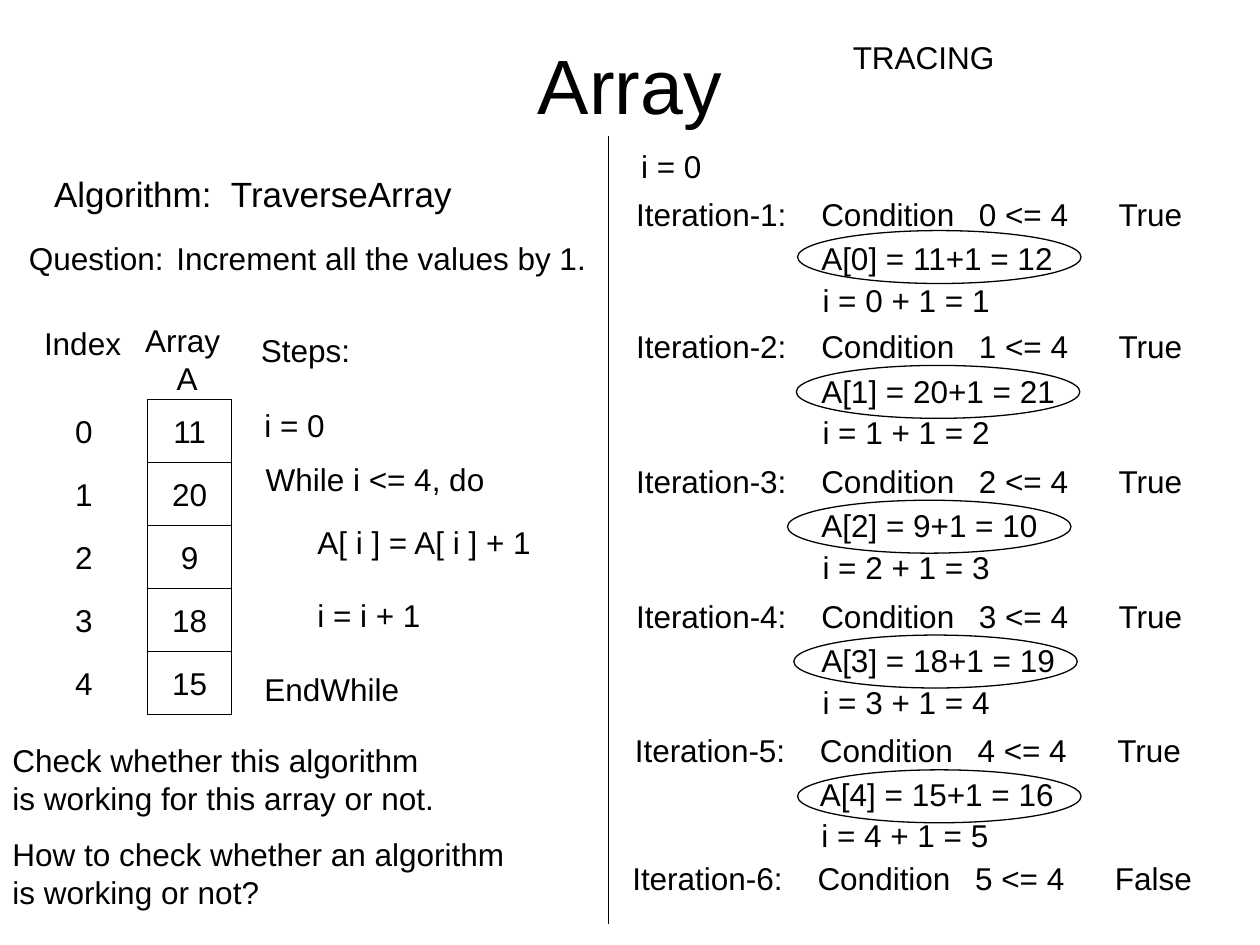
"""Builds the slide that traces the TraverseArray algorithm."""
from typing import NamedTuple

from lxml import etree
from pptx import Presentation
from pptx.dml.color import RGBColor
from pptx.enum.shapes import MSO_CONNECTOR, MSO_SHAPE
from pptx.enum.text import MSO_ANCHOR, MSO_AUTO_SIZE, PP_ALIGN
from pptx.oxml.ns import qn
from pptx.util import Emu, Pt

LEFT, CENTER = PP_ALIGN.LEFT, PP_ALIGN.CENTER
TOP, MIDDLE = MSO_ANCHOR.TOP, MSO_ANCHOR.MIDDLE
FIXED, GROW = MSO_AUTO_SIZE.NONE, MSO_AUTO_SIZE.SHAPE_TO_FIT_TEXT
RECTANGLE, ELLIPSE = MSO_SHAPE.RECTANGLE, MSO_SHAPE.OVAL
STRAIGHT = MSO_CONNECTOR.STRAIGHT

EMU_PER_PX = 9144
FONT = "Arial"
COLORS = {"ink": "000000", "paper": "FFFFFF"}
LINE_HEIGHT = 40
CELL_WIDTH, CELL_HEIGHT = 67, 50
INDEX_LEFT, ARRAY_LEFT, ARRAY_TOP = 33, 117, 317


class Label(NamedTuple):
    """A piece of text with its place in px."""
    text: str
    left: int
    top: int
    width: int
    height: int = LINE_HEIGHT
    align: PP_ALIGN = LEFT
    size: int = 18


class Iteration(NamedTuple):
    """One pass of the loop; without an old value the loop ends."""
    left: int
    top: int
    old_value: int | None = None
    ring_left: int = 0


LABELS = [
    Label("Algorithm:", 33, 132, 145, 43, CENTER, 20),
    Label("TraverseArray", 173, 132, 196, 43, CENTER, 20),
    Label("Question:", 13, 185, 127, align=CENTER),
    Label("Increment all the values by 1.", 130, 185, 345, align=CENTER),
    Label("Array \nA", 105, 250, 87, 70, CENTER),
    Label("Index", 25, 252, 81, align=CENTER),
    Label("Steps:", 197, 258, 91, align=CENTER),
    Label("i = 0", 200, 317, 68),
    Label("While i <= 4, do", 201, 360, 194),
    Label("A[ i ] = A[ i ] + 1", 242, 410, 191),
    Label("i = i + 1", 242, 468, 102),
    Label("EndWhile", 200, 527, 127),
    Label("Check whether this algorithm\nis working for this array or not.", 0, 583, 364, 70),
    Label("How to check whether an algorithm\nis working or not?", 0, 658, 414, 70),
    Label("TRACING", 667, 25, 133),
    Label("i = 0", 499, 112, 68),
]

ITERATIONS = [
    Iteration(495, 150, 11, 633),
    Iteration(495, 255, 20, 632),
    Iteration(495, 362, 9, 625),
    Iteration(495, 469, 18, 630),
    Iteration(494, 575, 15, 633),
    Iteration(492, 677),
]


def px(*lengths: int) -> list[Emu]:
    """Turn px into EMU."""
    return [Emu(length * EMU_PER_PX) for length in lengths]


def color(name: str) -> RGBColor:
    """Look up a colour by its role."""
    return RGBColor.from_string(COLORS[name])


def write(shape, text: str, size: int, align: PP_ALIGN, anchor: MSO_ANCHOR,
          fit: MSO_AUTO_SIZE, wrap: bool = False) -> None:
    """Fill a shape with formatted text."""
    frame = shape.text_frame
    frame.text = text
    frame.word_wrap, frame.auto_size, frame.vertical_anchor = wrap, fit, anchor
    for paragraph in frame.paragraphs:
        paragraph.alignment = align
        paragraph.font.name, paragraph.font.size = FONT, Pt(size)
        paragraph.font.color.rgb = color("ink")


def ink(line) -> None:
    """Draw a line thin and dark."""
    line.color.rgb = color("ink")
    line.width = Pt(0.75)


def draw_label(slide, label: Label, anchor: MSO_ANCHOR = TOP, fit: MSO_AUTO_SIZE = GROW) -> None:
    """Place a text box."""
    box = slide.shapes.add_textbox(*px(label.left, label.top, label.width, label.height))
    write(box, label.text, label.size, label.align, anchor, fit)


def draw_outline(slide, kind: MSO_SHAPE, left: int, top: int, width: int, height: int):
    """Place an unfilled shape."""
    outline = slide.shapes.add_shape(kind, *px(left, top, width, height))
    outline.shadow.inherit = False
    outline.fill.background()
    ink(outline.line)
    return outline


def draw_element(slide, index: int, value: int) -> None:
    """Place an array cell and its index."""
    top = ARRAY_TOP + index * CELL_HEIGHT
    cell = draw_outline(slide, RECTANGLE, ARRAY_LEFT, top, CELL_WIDTH, CELL_HEIGHT)
    write(cell, str(value), 18, CENTER, MIDDLE, FIXED)
    index_label = Label(str(index), INDEX_LEFT, top, CELL_WIDTH, CELL_HEIGHT, CENTER)
    draw_label(slide, index_label, MIDDLE, FIXED)


def draw_iteration(slide, index: int, step: Iteration) -> None:
    """Place the trace of one pass."""
    left, top, old = step.left, step.top, step.old_value
    ends = old is None
    trace = [
        Label(f"Iteration-{index + 1}:", left, top, 140),
        Label("Condition", left + 147, top, 126),
        Label(f"{index} <= 4", left + 272, top, 91),
        Label("False" if ends else "True", left + 383, top, 81 if ends else 72),
    ]
    if not ends:
        assignment = f"A[{index}] = {old}+1 = {old + 1}"
        trace += [
            Label(assignment, left + 147, top + 35, 206 if old > 9 else 192),
            Label(f"i = {index} + 1 = {index + 1}", left + 148, top + 68, 153),
        ]
        draw_outline(slide, ELLIPSE, step.ring_left, 183 + 107 * index, 225, 42)
    for label in trace:
        draw_label(slide, label)


def draw_title(slide) -> None:
    """Set the title and drop the unused subtitle."""
    title, subtitle = slide.placeholders
    title.left, title.top, title.width, title.height = px(75, 25, 850, 83)
    write(title, "Array", 44, CENTER, MIDDLE, FIXED, True)
    subtitle.element.getparent().remove(subtitle.element)


def draw_divider(slide) -> None:
    """Separate the algorithm from its trace."""
    divider = slide.shapes.add_connector(STRAIGHT, *px(483, 108, 483, 733))
    ink(divider.line)
    etree.SubElement(divider.element.spPr, qn("a:effectLst"))


def main() -> None:
    """Build and save the slide."""
    deck = Presentation()
    deck.slide_width, deck.slide_height = px(1000, 750)
    slide = deck.slides.add_slide(deck.slide_layouts[0])
    slide.background.fill.solid()
    slide.background.fill.fore_color.rgb = color("paper")
    draw_title(slide)
    draw_divider(slide)
    for label in LABELS:
        draw_label(slide, label)
    for index, step in enumerate(ITERATIONS):
        if step.old_value is not None:
            draw_element(slide, index, step.old_value)
        draw_iteration(slide, index, step)
    deck.save("out.pptx")


if __name__ == "__main__":
    main()
